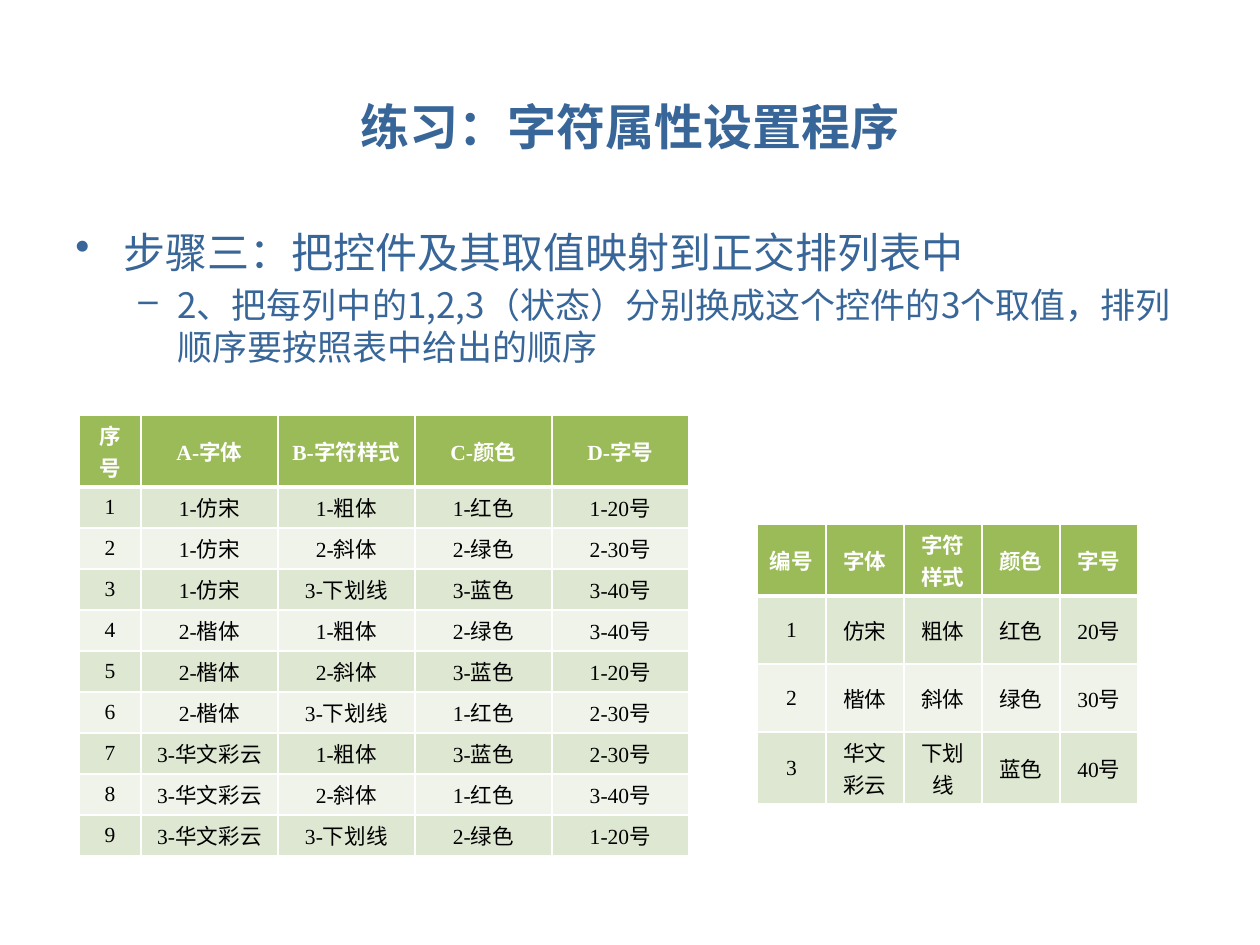
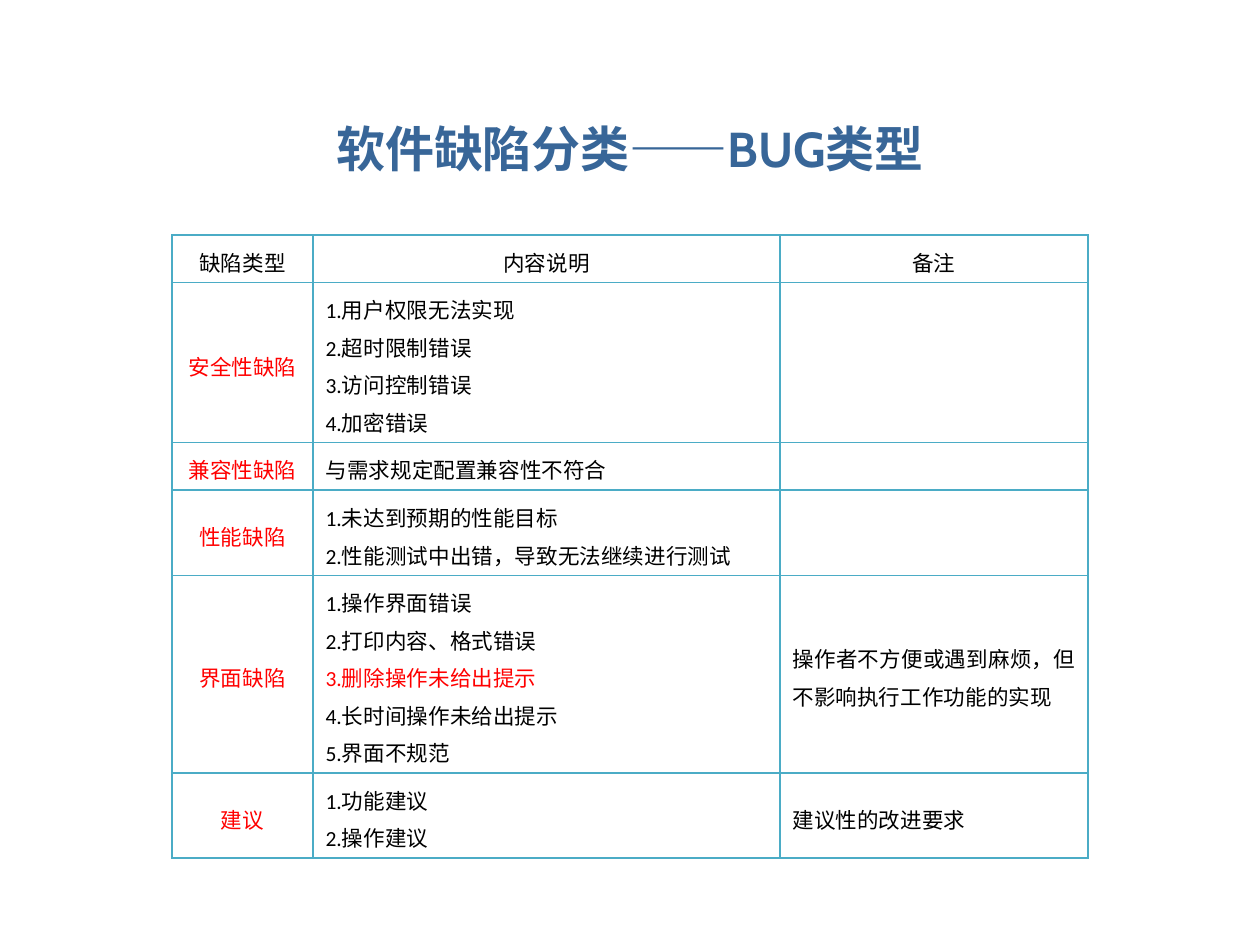
"""Build two slides: an orthogonal-array exercise and a table of software defect types."""
from dataclasses import dataclass

from pptx import Presentation, util as u
from pptx.dml.color import RGBColor
from pptx.enum import text as t
from pptx.oxml.xmlchemy import OxmlElement


@dataclass(frozen=True)
class Theme:
    heading: str = "386698"
    white: str = "FFFFFF"
    black: str = "000000"
    alert: str = "FF0000"
    header_fill: str = "9BBB59"
    odd_fill: str = "DEE7D1"
    even_fill: str = "EFF3EA"
    rule: str = "4BACC6"
    title_font: str = "Cabin"
    cjk_font: str = "Noto Sans CJK SC"
    array_font: str = "Times New Roman"
    defect_font: str = "Calibri"
    title_size: float = 28
    step_size: float = 24
    detail_size: float = 20
    cell_size: float = 12.3


THEME = Theme()
PX = u.Inches(1) // 126
CENTER, JUSTIFY = t.PP_ALIGN.CENTER, t.PP_ALIGN.JUSTIFY


def write(paragraph, text, font, size, color, bold=False, align=None, spacing=None):
    paragraph.alignment = align
    paragraph.line_spacing = spacing
    if not text:
        end = OxmlElement("a:endParaRPr")
        end.set("sz", str(round(size * 100)))
        paragraph._p.append(end)
        return
    run = paragraph.add_run()
    run.text = text
    run.font.name, run.font.size, run.font.bold = font, u.Pt(size), bold
    run.font.color.rgb = RGBColor.from_string(color)
    east_asian = OxmlElement("a:ea")
    east_asian.set("typeface", THEME.cjk_font)
    run.font._element.find("{*}latin").addnext(east_asian)


def add_grid(slide, left, top, widths, heights, border, fills=None, header_rule=1):
    table = slide.shapes.add_table(
        len(heights), len(widths), left * PX, top * PX, sum(widths) * PX, sum(heights) * PX
    ).table
    table.first_row = table.horz_banding = False
    for column, width in zip(table.columns, widths):
        column.width = width * PX
    for index, height in enumerate(heights):
        table.rows[index].height = height * PX
        for cell in table.rows[index].cells:
            cell.vertical_anchor = t.MSO_ANCHOR.MIDDLE
            cell.margin_top = cell.margin_bottom = 5 * PX
            for side in "LRTB":
                under_header = (index, side) in ((0, "B"), (1, "T"))
                line = OxmlElement(f"a:ln{side}")
                line.set("w", str(u.Pt(header_rule if under_header else 1)))
                paint = OxmlElement("a:solidFill")
                color = OxmlElement("a:srgbClr")
                color.set("val", border)
                paint.append(color)
                line.append(paint)
                cell._tc.get_or_add_tcPr().append(line)
            if fills:
                cell.fill.solid()
                cell.fill.fore_color.rgb = RGBColor.from_string(fills[index])
            else:
                cell.fill.background()
    return table


prs = Presentation()
prs.slide_width, prs.slide_height = u.Inches(10), u.Inches(7.5)

slides = []
for heading, top, height in (
    ("练习：字符属性设置程序", 85, 82),
    ("软件缺陷分类——BUG类型", 109, 78),
):
    slide = prs.slides.add_slide(prs.slide_layouts[5])
    title = slide.shapes.title
    title.left, title.top, title.width, title.height = 63 * PX, top * PX, 1134 * PX, height * PX
    title.text_frame.vertical_anchor = t.MSO_ANCHOR.MIDDLE
    write(title.text_frame.paragraphs[0], heading, THEME.title_font, THEME.title_size,
          THEME.heading, bold=True, align=CENTER)
    slides.append(slide)
exercise, defects = slides

steps = exercise.shapes.add_textbox(63 * PX, 220 * PX, 1134 * PX, 624 * PX).text_frame
steps.word_wrap = True
for level, (bullet, margin, hang, size, line) in enumerate((
    ("•", 48, 48, THEME.step_size, "步骤三：把控件及其取值映射到正交排列表中"),
    ("–", 102, 39, THEME.detail_size,
     "2、把每列中的1,2,3（状态）分别换成这个控件的3个取值，排列顺序要按照表中给出的顺序"),
)):
    paragraph = steps.add_paragraph() if level else steps.paragraphs[0]
    paragraph.level = level
    write(paragraph, line, THEME.cjk_font, size, THEME.heading, spacing=1.0)
    paragraph.space_before = u.Pt(size * 0.2)
    properties = paragraph._p.get_or_add_pPr()
    properties.set("marL", str(margin * PX))
    properties.set("indent", str(-hang * PX))
    mark = OxmlElement("a:buChar")
    mark.set("char", bullet)
    properties.append(mark)

factors = [
    ("编号", "字体", "字符样式", "颜色", "字号"),
    ("1", "仿宋", "粗体", "红色", "20号"),
    ("2", "楷体", "斜体", "绿色", "30号"),
    ("3", "华文彩云", "下划线", "蓝色", "40号"),
]
level_sets = ("1111", "1222", "1333", "2123", "2231", "2312", "3132", "3213", "3321")
runs = [("序号", "A-字体", "B-字符样式", "C-颜色", "D-字号")]
for number, levels in enumerate(level_sets, 1):
    values = [f"{level}-{factors[int(level)][column]}" for column, level in enumerate(levels, 1)]
    runs.append((str(number), *values))

for rows, left, top, widths, heights in (
    (runs, 79, 415, [62] + [137] * 4, [72] + [41] * 9),
    (factors, 757, 524, [69] + [78] * 4, [72, 68, 68, 72]),
):
    fills = [THEME.header_fill] + [
        THEME.odd_fill if index % 2 else THEME.even_fill for index in range(1, len(rows))
    ]
    array = add_grid(exercise, left, top, widths, heights, THEME.white, fills, header_rule=3)
    for r, row in enumerate(rows):
        for c, value in enumerate(row):
            write(array.cell(r, c).text_frame.paragraphs[0], value, THEME.array_font,
                  THEME.cell_size, THEME.black if r else THEME.white, bold=r == 0, align=CENTER)

highlighted = "3.删除操作未给出提示"
defect_rows = [
    ("缺陷类型", ["内容说明"], "备注"),
    ("安全性缺陷", ["1.用户权限无法实现", "2.超时限制错误", "3.访问控制错误", "4.加密错误"], ""),
    ("兼容性缺陷", ["与需求规定配置兼容性不符合"], ""),
    ("性能缺陷", ["1.未达到预期的性能目标", "2.性能测试中出错，导致无法继续进行测试"], ""),
    ("界面缺陷", ["1.操作界面错误", "2.打印内容、格式错误", highlighted,
              "4.长时间操作未给出提示", "5.界面不规范"],
     "操作者不方便或遇到麻烦，但不影响执行工作功能的实现"),
    ("建议", ["1.功能建议", "2.操作建议"], "建议性的改进要求"),
]
defect_table = add_grid(defects, 172, 235, [141, 467, 308], [47, 160, 47, 85, 197, 85], THEME.rule)
for r, (kind, details, remark) in enumerate(defect_rows):
    for c, lines in enumerate(([kind], details, [remark])):
        frame = defect_table.cell(r, c).text_frame
        for index, line in enumerate(lines):
            paragraph = frame.add_paragraph() if index else frame.paragraphs[0]
            is_alert = (r > 0 and c == 0) or line == highlighted
            write(paragraph, line, THEME.defect_font, THEME.cell_size,
                  THEME.alert if is_alert else THEME.black,
                  align=CENTER if r == 0 or c == 0 else JUSTIFY, spacing=1.2)

prs.save("out.pptx")
